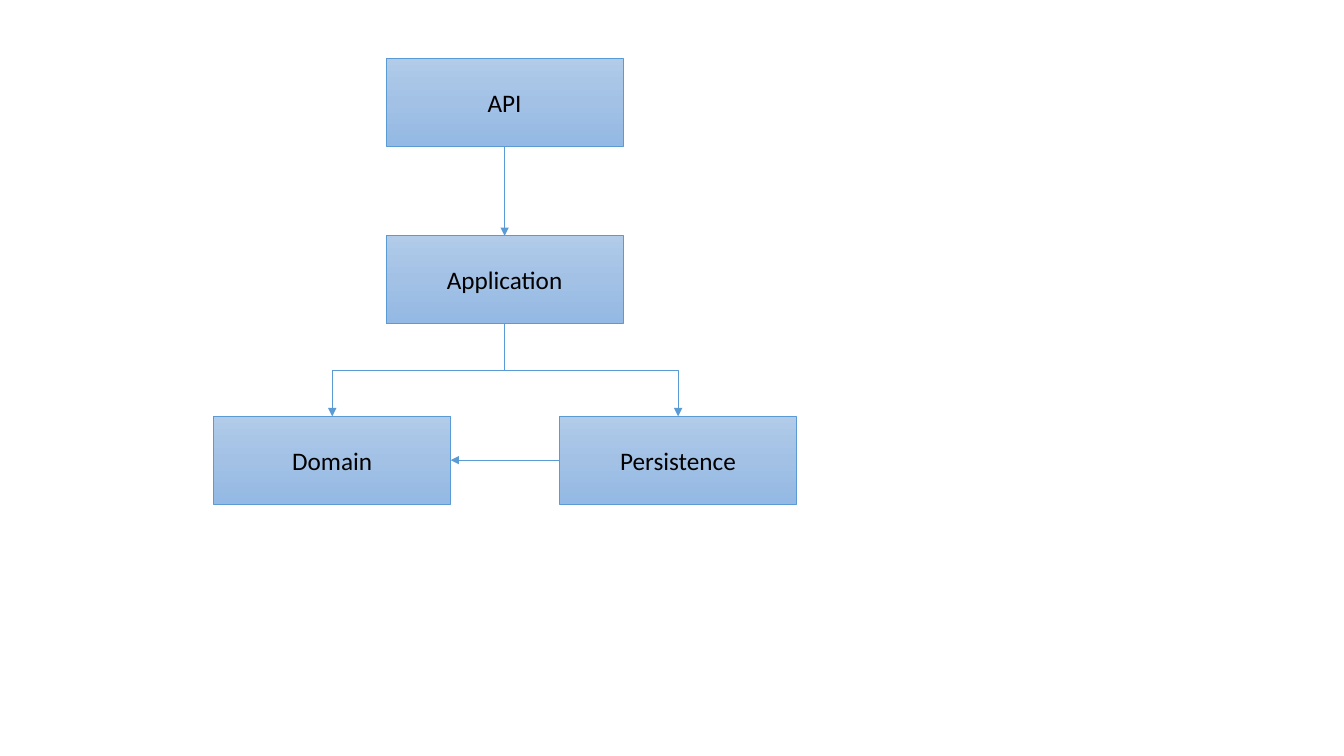
"""Builds a slide showing the dependencies between application layers."""
from copy import deepcopy

from lxml import etree
from pptx import Presentation
from pptx.dml.color import RGBColor
from pptx.enum.shapes import MSO_CONNECTOR, MSO_SHAPE
from pptx.enum.text import MSO_ANCHOR, PP_ALIGN
from pptx.oxml.ns import qn
from pptx.util import Inches, Pt

RECTANGLE = MSO_SHAPE.RECTANGLE
STRAIGHT, ELBOW = MSO_CONNECTOR.STRAIGHT, MSO_CONNECTOR.ELBOW
MIDDLE, CENTER = MSO_ANCHOR.MIDDLE, PP_ALIGN.CENTER

COLORS = {
    "top": "B1CBE9",
    "middle": "A3C1E5",
    "bottom": "93B9E4",
    "line": "5B9BD5",
    "text": "000000",
}
FONT = "Calibri"
BOX_WIDTH, BOX_HEIGHT = 2.35, 0.87
LAYERS = {
    "API": (3.83, 0.58),
    "Application": (3.83, 2.34),
    "Domain": (2.12, 4.13),
    "Persistence": (5.55, 4.13),
}
TOP, LEFT, BOTTOM, RIGHT = range(4)


def color(name):
    return RGBColor.from_string(COLORS[name])


def style_line(line):
    line.color.rgb = color("line")
    line.width = Pt(0.5)


def fill_gradient(fill, names):
    fill.gradient()
    fill.gradient_angle = 270
    stop_list = fill._xPr.find(qn("a:gradFill")).find(qn("a:gsLst"))
    while len(stop_list) < len(names):
        stop_list.append(deepcopy(stop_list[-1]))
    for index, (stop, name) in enumerate(zip(fill.gradient_stops, names)):
        stop.position = index / (len(names) - 1)
        stop.color.rgb = color(name)


def add_layer(slide, name, left, top):
    shape = slide.shapes.add_shape(
        RECTANGLE, Inches(left), Inches(top), Inches(BOX_WIDTH), Inches(BOX_HEIGHT)
    )
    shape.shadow.inherit = False
    fill_gradient(shape.fill, ("top", "middle", "bottom"))
    style_line(shape.line)
    shape.text_frame.vertical_anchor = MIDDLE
    paragraph = shape.text_frame.paragraphs[0]
    paragraph.alignment = CENTER
    run = paragraph.add_run()
    run.text = name
    run.font.name = FONT
    run.font.size = Pt(18)
    run.font.color.rgb = color("text")
    return shape


def add_arrow(slide, kind, source, source_side, target, target_side):
    connector = slide.shapes.add_connector(kind, 0, 0, 0, 0)
    connector.begin_connect(source, source_side)
    connector.end_connect(target, target_side)
    style_line(connector.line)
    properties = connector._element.spPr
    etree.SubElement(properties.find(qn("a:ln")), qn("a:tailEnd"), type="triangle")
    etree.SubElement(properties, qn("a:effectLst"))
    return connector


def add_branch(slide, parent, child):
    connector = add_arrow(slide, ELBOW, parent, BOTTOM, child, TOP)
    goes_right = child.left > parent.left
    span, drop = connector.width, connector.height
    center_x = connector.left + span // 2
    center_y = connector.top + drop // 2
    connector.left, connector.top = center_x - drop // 2, center_y - span // 2
    connector.width, connector.height = drop, span
    transform = connector._element.spPr.find(qn("a:xfrm"))
    transform.rot = 270 if goes_right else 90
    transform.flipH = goes_right


def main():
    presentation = Presentation()
    presentation.slide_width = Inches(13.33)
    presentation.slide_height = Inches(7.5)
    slide = presentation.slides.add_slide(presentation.slide_layouts[6])
    layers = {
        name: add_layer(slide, name, left, top)
        for name, (left, top) in LAYERS.items()
    }
    for child in ("Domain", "Persistence"):
        add_branch(slide, layers["Application"], layers[child])
    add_arrow(slide, STRAIGHT, layers["API"], BOTTOM, layers["Application"], TOP)
    add_arrow(slide, STRAIGHT, layers["Persistence"], LEFT, layers["Domain"], RIGHT)
    presentation.save("out.pptx")


main()
